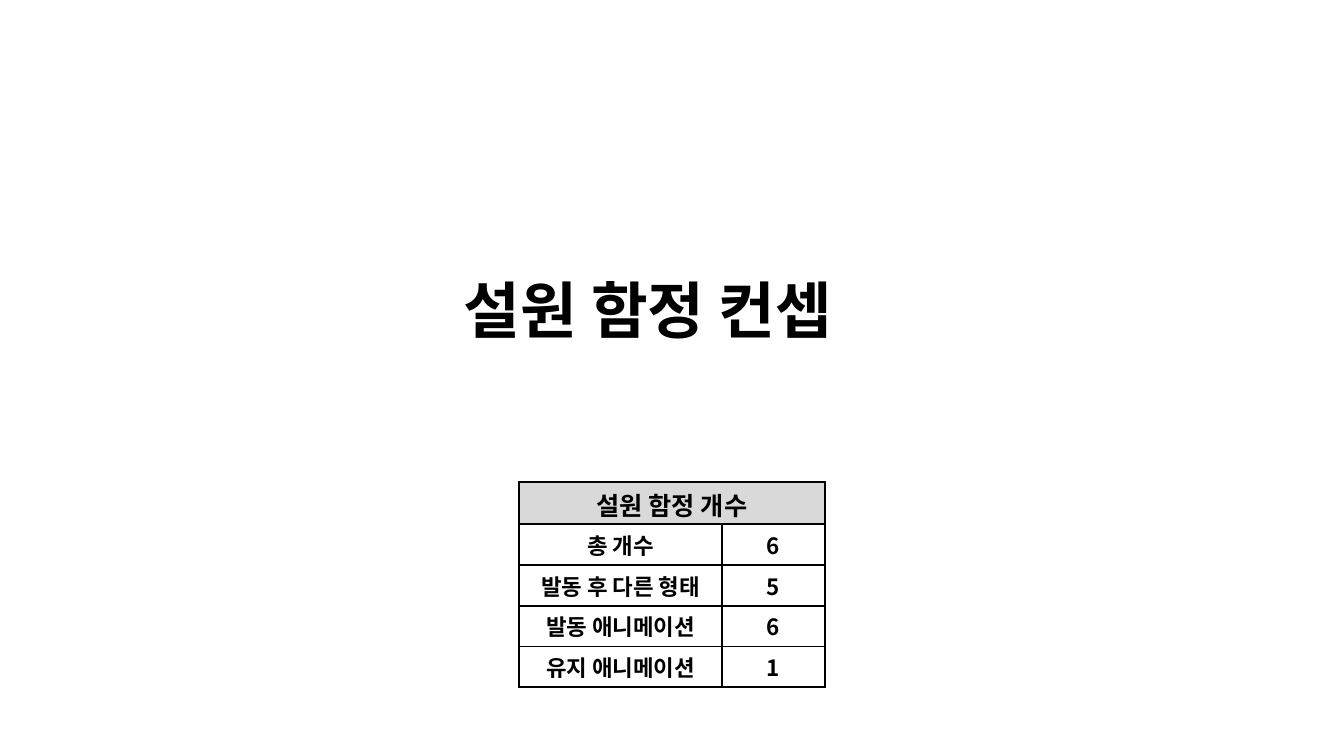
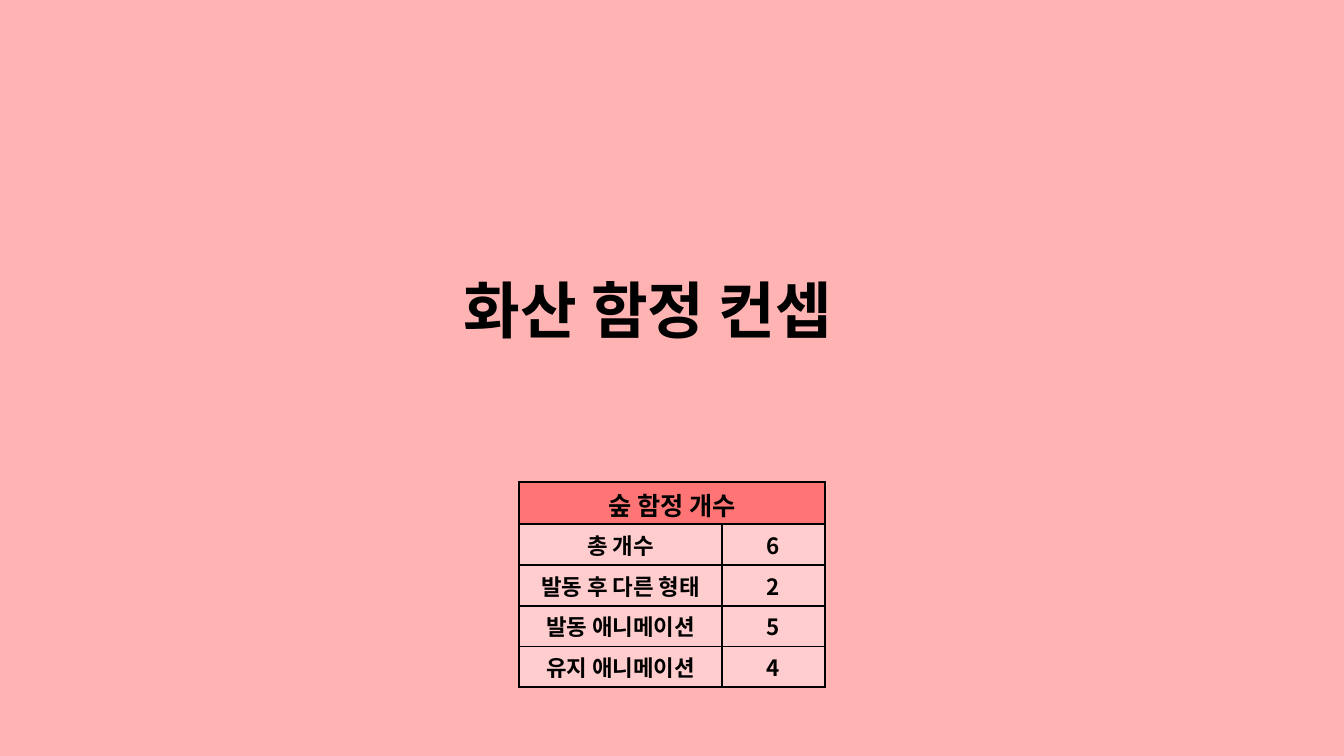
from lxml import etree
from pptx import Presentation
from pptx.dml.color import RGBColor
from pptx.enum.text import MSO_ANCHOR, MSO_AUTO_SIZE, PP_ALIGN
from pptx.oxml.ns import qn
from pptx.util import Inches, Pt

LEFT, CENTER = PP_ALIGN.LEFT, PP_ALIGN.CENTER
TOP, MIDDLE, BOTTOM = MSO_ANCHOR.TOP, MSO_ANCHOR.MIDDLE, MSO_ANCHOR.BOTTOM
TITLE_ONLY = 5

FONT = "Noto Sans CJK KR"
INK = "000000"
BORDER_PT = 1.5
CELL_MARGIN = 0.01

TITLE_BOX = (4.5, 2.73, 4.34, 0.84)
TABLE_LEFT, TABLE_TOP, TABLE_HEIGHT = 5.15, 4.78, 2.04
COLUMNS = (2.01, 1.02)
HEADER_HEIGHT = 0.42

COUNT_LABELS = ("총 개수", "발동 후 다른 형태", "발동 애니메이션", "유지 애니메이션")
TRAP_SETS = [
    {"title": "설원 함정 컨셉", "header": "설원 함정 개수", "counts": (6, 5, 6, 1),
     "background": "FFFFFF", "header_fill": "D9D9D9", "row_fill": "FFFFFF"},
    {"title": "화산 함정 컨셉", "header": "숲 함정 개수", "counts": (6, 2, 5, 4),
     "background": "FFB3B3", "header_fill": "FF7575", "row_fill": "FFCDCD"},
]


def paint(fill, color):
    fill.solid()
    fill.fore_color.rgb = RGBColor.from_string(color)


def write(frame, text, size, align=CENTER, spacing=1.0):
    paragraph = frame.paragraphs[0]
    paragraph.alignment = align
    paragraph.line_spacing = spacing
    run = paragraph.add_run()
    run.text = text
    run.font.name, run.font.size, run.font.bold = FONT, Pt(size), True
    run.font.color.rgb = RGBColor.from_string(INK)
    # Hangul takes its typeface from the East Asian slot
    east_asian = etree.Element(qn("a:ea"), typeface=FONT)
    run.font._element.find(qn("a:latin")).addnext(east_asian)


def add_borders(cell):
    properties = cell._tc.get_or_add_tcPr()
    for side in ("lnL", "lnR", "lnT", "lnB"):
        line = etree.SubElement(properties, qn(f"a:{side}"), w=str(Pt(BORDER_PT)))
        solid = etree.SubElement(line, qn("a:solidFill"))
        etree.SubElement(solid, qn("a:srgbClr"), val=INK)


def style_cell(cell, color, anchor):
    cell.margin_top = cell.margin_bottom = Inches(CELL_MARGIN)
    cell.vertical_anchor = anchor
    add_borders(cell)
    paint(cell.fill, color)


def add_title(slide, text):
    title = slide.shapes.title
    title.left, title.top, title.width, title.height = map(Inches, TITLE_BOX)
    frame = title.text_frame
    frame.auto_size = MSO_AUTO_SIZE.NONE
    frame.word_wrap = False
    frame.vertical_anchor = TOP
    write(frame, text, size=44, align=LEFT, spacing=0.9)


def add_count_table(slide, traps):
    rows = [(traps["header"], "")] + list(zip(COUNT_LABELS, traps["counts"]))
    table = slide.shapes.add_table(
        len(rows), len(COLUMNS), Inches(TABLE_LEFT), Inches(TABLE_TOP),
        Inches(sum(COLUMNS)), Inches(TABLE_HEIGHT)).table
    table.first_row = table.horz_banding = False
    for column, width in zip(table.columns, COLUMNS):
        column.width = Inches(width)
    table.cell(0, 0).merge(table.cell(0, len(COLUMNS) - 1))

    row_height = (TABLE_HEIGHT - HEADER_HEIGHT) / len(COUNT_LABELS)
    for r, values in enumerate(rows):
        is_header = r == 0
        table.rows[r].height = Inches(HEADER_HEIGHT if is_header else row_height)
        for c, value in enumerate(values):
            cell = table.cell(r, c)
            style_cell(cell, traps["header_fill" if is_header else "row_fill"],
                       BOTTOM if is_header else MIDDLE)
            if not cell.is_spanned:
                write(cell.text_frame, str(value), size=18 if is_header else 16)


def main():
    deck = Presentation()
    deck.slide_width, deck.slide_height = Inches(13.33), Inches(7.5)
    for traps in TRAP_SETS:
        slide = deck.slides.add_slide(deck.slide_layouts[TITLE_ONLY])
        paint(slide.background.fill, traps["background"])
        add_title(slide, traps["title"])
        add_count_table(slide, traps)
    deck.save("out.pptx")


if __name__ == "__main__":
    main()
